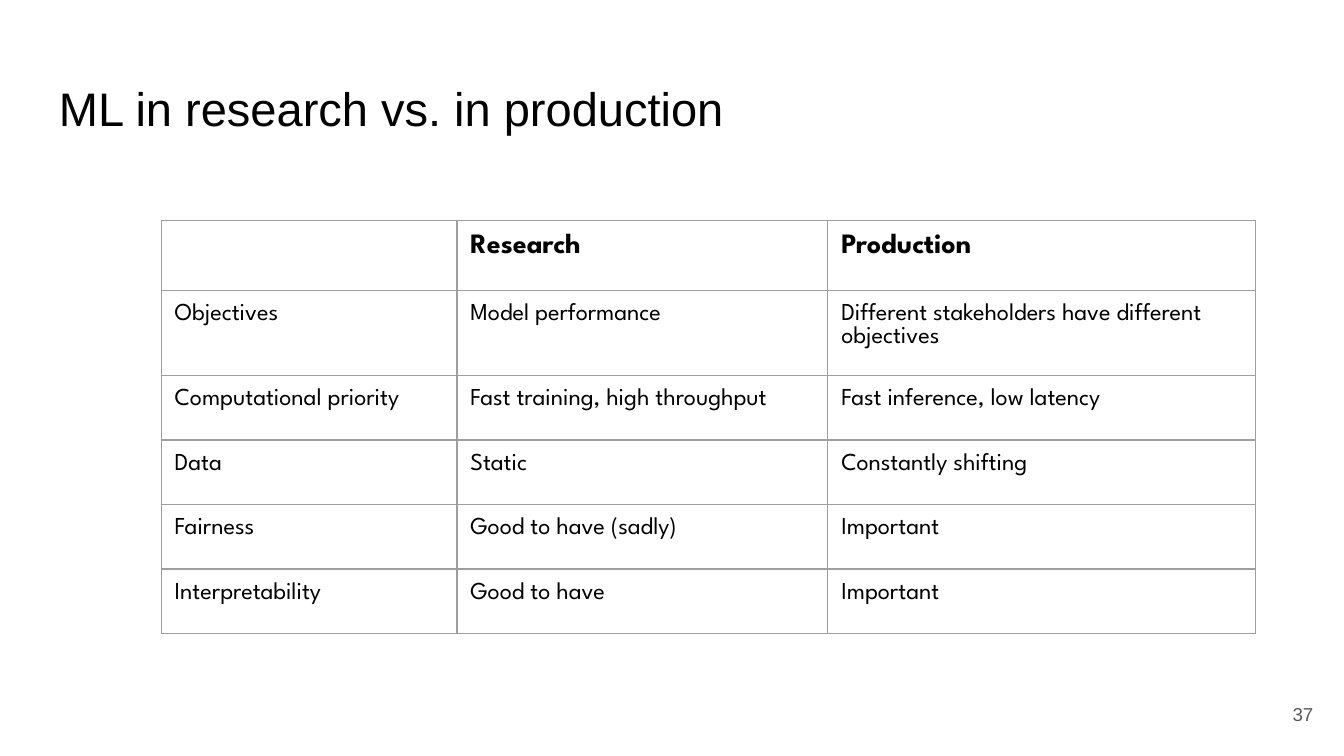
from lxml.etree import SubElement
from pptx import Presentation
from pptx.dml.color import RGBColor
from pptx.enum.text import MSO_ANCHOR, PP_ALIGN
from pptx.oxml.ns import qn
from pptx.util import Inches, Pt

COLS = [2.2, 2.76, 3.18]
HEAD, ROW = 0.52, 0.48
PAD = Inches(0.1)
FACE = "League Spartan"
ROWS = [
    ["", "Research", "Production"],
    ["Objectives", "Model performance", "Different stakeholders have different objectives"],
    ["Computational priority", "Fast training, high throughput", "Fast inference, low latency"],
    ["Data", "Static", "Constantly shifting"],
    ["Fairness", "Good to have (sadly)", "Important"],
    ["Interpretability", "Good to have", "Important"],
]


def color(code):
    return RGBColor.from_string(code)


def pad(box):
    box.margin_left = box.margin_right = PAD
    box.margin_top = box.margin_bottom = PAD


def add_run(para, text, size, face, code, bold=False):
    run = para.add_run()
    run.text = text
    font = run.font
    font.size, font.name, font.bold = Pt(size), face, bold
    font.color.rgb = color(code)


def add_text(slide, text, box, size, code, align=PP_ALIGN.LEFT, anchor=MSO_ANCHOR.TOP):
    frame = slide.shapes.add_textbox(*map(Inches, box)).text_frame
    frame.word_wrap = True
    frame.vertical_anchor = anchor
    pad(frame)
    para = frame.paragraphs[0]
    para.alignment = align
    add_run(para, text, size, "Arial", code)


def add_border(cell, code, width):
    props = cell._tc.get_or_add_tcPr()
    for side in ("lnL", "lnR", "lnT", "lnB"):
        line = SubElement(props, qn(f"a:{side}"), w=str(Pt(width)))
        fill = SubElement(line, qn("a:solidFill"))
        SubElement(fill, qn("a:srgbClr"), val=code)


def end_para(para, size, face):
    props = SubElement(para._p, qn("a:endParaRPr"), sz=str(size * 100))
    SubElement(props, qn("a:latin"), typeface=face)


def fill_cell(cell, text, head):
    pad(cell)
    add_border(cell, "9E9E9E", 0.75)
    cell.fill.background()
    if text:
        size = 15 if head else 13
        para = cell.text_frame.paragraphs[0]
        add_run(para, text, size, FACE, "000000", head)
        end_para(para, size, FACE)


def add_grid(slide, left, top):
    high = HEAD + ROW * (len(ROWS) - 1)
    box = map(Inches, (left, top, sum(COLS), high))
    table = slide.shapes.add_table(len(ROWS), len(COLS), *box).table
    table.horz_banding = False
    for col, width in zip(table.columns, COLS):
        col.width = Inches(width)
    for i, texts in enumerate(ROWS):
        table.rows[i].height = Inches(ROW if i else HEAD)
        for j, text in enumerate(texts):
            fill_cell(table.cell(i, j), text, i == 0)


def main():
    deck = Presentation()
    deck.slide_width = Inches(10)
    deck.slide_height = deck.slide_width * 9 // 16
    slide = deck.slides.add_slide(deck.slide_layouts[6])
    add_text(slide, "ML in research vs. in production", (0.34, 0.49, 9.32, 0.63), 25.2, "000000")
    add_grid(slide, 1.2, 1.64)
    add_text(slide, "37", (9.27, 5.1, 0.6, 0.43), 10, "595959", PP_ALIGN.RIGHT, MSO_ANCHOR.MIDDLE)
    deck.save("out.pptx")


if __name__ == "__main__":
    main()
